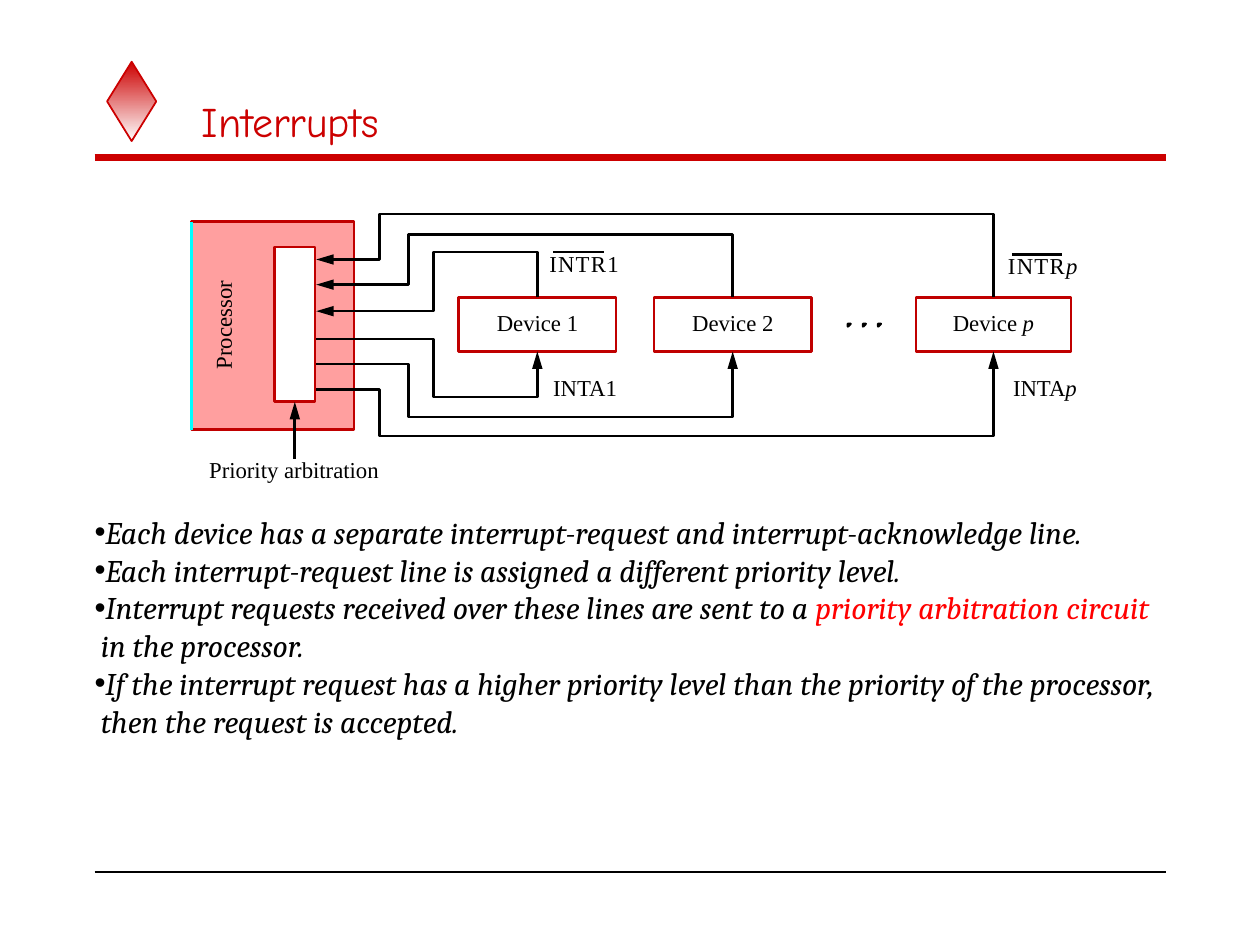
from lxml import etree
from pptx import Presentation
from pptx.dml.color import RGBColor
from pptx.enum.shapes import MSO_CONNECTOR, MSO_SHAPE
from pptx.enum.text import MSO_ANCHOR, MSO_AUTO_SIZE, PP_ALIGN
from pptx.oxml.ns import qn
from pptx.util import Inches, Pt

STRAIGHT = MSO_CONNECTOR.STRAIGHT
RECTANGLE, DIAMOND = MSO_SHAPE.RECTANGLE, MSO_SHAPE.DIAMOND
MIDDLE, TOP = MSO_ANCHOR.MIDDLE, MSO_ANCHOR.TOP
LEFT, CENTER = PP_ALIGN.LEFT, PP_ALIGN.CENTER
NO_AUTOFIT = MSO_AUTO_SIZE.NONE

BLACK = RGBColor(0x00, 0x00, 0x00)
WHITE = RGBColor(0xFF, 0xFF, 0xFF)
RED = RGBColor(0xCC, 0x00, 0x00)
DARK_RED = RGBColor(0xC0, 0x00, 0x00)
BRIGHT_RED = RGBColor(0xFF, 0x00, 0x00)
PINK = RGBColor(0xFF, 0x9F, 0x9F)
CYAN = RGBColor(0x00, 0xFF, 0xFF)

# Device name, suffix, left, width, then its request and acknowledge wiring:
# bus x, processor y, outermost y
DEVICES = [
    ("1", 3.64, 1.25, 3.44, (2.47, 2.00), (2.69, 3.15)),
    ("2", 5.19, 1.25, 3.24, (2.26, 1.86), (2.89, 3.31)),
    ("p", 7.27, 1.23, 3.01, (2.06, 1.70), (3.09, 3.46)),
]
DEVICE_TOP, DEVICE_HEIGHT = 2.36, 0.43
ARBITER_RIGHT = 2.51

# Each line: its runs with colours, and whether it starts a bullet
POINTS = [
    ([("Each device has a separate interrupt-request and "
       "interrupt-acknowledge line.", BLACK)], True),
    ([("Each interrupt-request line is assigned a different priority level.",
       BLACK)], True),
    ([("Interrupt requests received over these lines are sent to a ", BLACK),
      ("priority arbitration circuit", BRIGHT_RED)], True),
    ([("in the processor.", BLACK)], False),
    ([("If the interrupt request has a higher priority level than the "
       "priority of the processor,", BLACK)], True),
    ([("then the request is accepted.", BLACK)], False),
]


class Diagram:
    label_font, label_size = "Times New Roman", 13
    title_font, body_font = "Comic Neue", "Cambria"
    line_width = 1.5

    def __init__(self, slide):
        self.slide = slide
        self.shapes = slide.shapes

    def style_run(self, run, font, size, color, italic=False):
        run.font.name, run.font.size = font, Pt(size)
        run.font.color.rgb, run.font.italic = color, italic

    def write_label(self, paragraph, parts, spacing=0):
        """Fill a paragraph with parts; the variable p is set in italics."""
        for part in parts:
            run = paragraph.add_run()
            run.text = part
            self.style_run(run, self.label_font, self.label_size, BLACK, part == "p")
            if spacing:
                run.font._element.set("spc", str(spacing))

    def place(self, holder, left, top, width, height, anchor):
        holder.left, holder.top = Inches(left), Inches(top)
        holder.width, holder.height = Inches(width), Inches(height)
        frame = holder.text_frame
        frame.word_wrap, frame.auto_size = True, NO_AUTOFIT
        frame.vertical_anchor = anchor
        return frame

    def title(self, text):
        frame = self.place(self.shapes.title, 0.5, 0.33, 9.08, 1.25, MIDDLE)
        frame.margin_left = Inches(1.1)
        frame.text = text
        frame.paragraphs[0].alignment = LEFT
        self.style_run(frame.paragraphs[0].runs[0], self.title_font, 24, RED)

    def body(self, points):
        frame = self.place(self.slide.placeholders[1], 0.65, 4.02, 9.1, 1.92, TOP)
        for index, (parts, bulleted) in enumerate(points):
            paragraph = frame.add_paragraph() if index else frame.paragraphs[0]
            paragraph.space_before = paragraph.space_after = Pt(0)
            for text, color in parts:
                run = paragraph.add_run()
                run.text = text
                self.style_run(run, self.body_font, 18, color, True)
            properties = paragraph._p.get_or_add_pPr()
            properties.set("marL", "0" if bulleted else str(Inches(0.05)))
            properties.set("indent", "0")
            if bulleted:
                etree.SubElement(properties, qn("a:buChar")).set("char", "•")
            else:
                etree.SubElement(properties, qn("a:buNone"))

    def label(self, parts, left, top, width, rotation=0, spacing=0):
        box = self.shapes.add_textbox(Inches(left), Inches(top), Inches(width), Inches(0.22))
        box.rotation = rotation
        frame = box.text_frame
        frame.word_wrap = False
        frame.margin_left = frame.margin_right = frame.margin_top = frame.margin_bottom = 0
        self.write_label(frame.paragraphs[0], parts, spacing)
        return box

    def shape(self, kind, left, top, width, height, color=DARK_RED, fill=None, weight=line_width):
        shape = self.shapes.add_shape(
            kind, Inches(left), Inches(top), Inches(width), Inches(height))
        shape.shadow.inherit = False
        shape.line.color.rgb, shape.line.width = color, Pt(weight)
        if fill is None:
            shape.fill.background()
        else:
            shape.fill.solid()
            shape.fill.fore_color.rgb = fill
        return shape

    def device(self, name, left, width):
        box = self.shape(RECTANGLE, left, DEVICE_TOP, width, DEVICE_HEIGHT)
        frame = box.text_frame
        frame.margin_top, frame.margin_bottom = 0, Inches(0.03)
        frame.vertical_anchor = MIDDLE
        frame.paragraphs[0].alignment = CENTER
        self.write_label(frame.paragraphs[0], ["Device ", name])

    def arrowhead(self, line):
        tail = etree.SubElement(line.line._get_or_add_ln(), qn("a:tailEnd"))
        for key, value in (("type", "triangle"), ("w", "med"), ("len", "lg")):
            tail.set(key, value)

    def line(self, start, end, color=BLACK, weight=line_width):
        line = self.shapes.add_connector(STRAIGHT, *map(Inches, start + end))
        line.line.color.rgb, line.line.width = color, Pt(weight)
        etree.SubElement(line._element.spPr, qn("a:effectLst"))
        return line

    def route(self, points, arrow=True):
        corners = [(Inches(x), Inches(y)) for x, y in points]
        builder = self.shapes.build_freeform(*corners[0])
        builder.add_line_segments(corners[1:], close=not arrow)
        route = builder.convert_to_shape()
        route.shadow.inherit = False
        route.fill.background()
        route.line.color.rgb, route.line.width = BLACK, Pt(self.line_width)
        if arrow:
            self.arrowhead(route)


def main():
    presentation = Presentation()
    presentation.slide_width, presentation.slide_height = Inches(10), Inches(7.5)
    diagram = Diagram(presentation.slides.add_slide(presentation.slide_layouts[1]))

    # Slide frame: diamond and rules
    ornament = diagram.shape(DIAMOND, 0.85, 0.49, 0.39, 0.63, RED, weight=1)
    ornament.fill.gradient()
    ornament.fill.gradient_angle = 270
    for stop, color, position in zip(ornament.fill.gradient_stops, (RED, WHITE), (0, 1)):
        stop.color.rgb, stop.position = color, position
    diagram.line((0.75, 1.25), (9.25, 1.25), RED, 4)
    diagram.line((0.75, 6.92), (9.25, 6.92), weight=1)

    diagram.title("Interrupts")
    diagram.body(POINTS)

    # Processor with its priority arbitration circuit
    diagram.shape(RECTANGLE, 1.52, 1.76, 1.29, 1.65, fill=PINK)
    diagram.line((1.52, 3.41), (1.52, 1.76), CYAN)
    diagram.label(["Processor"], 1.42, 2.47, 0.7, rotation=270)
    arbiter = diagram.shape(RECTANGLE, 2.18, 1.96, 0.32, 1.23, fill=WHITE)
    diagram.label(["Priority arbitration"], 1.66, 3.62, 1.35)
    pointer = diagram.line((2.34, 3.64), (2.34, 3.19))
    pointer.end_connect(arbiter, 2)
    diagram.arrowhead(pointer)

    # Devices with their request and acknowledge lines
    for name, left, width, bus, (request, top), (acknowledge, bottom) in DEVICES:
        center = left + width / 2
        diagram.device(name, left, width)
        diagram.route([(center, DEVICE_TOP), (center, top), (bus, top),
                       (bus, request), (ARBITER_RIGHT, request)])
        diagram.route([(ARBITER_RIGHT, acknowledge), (bus, acknowledge), (bus, bottom),
                       (center, bottom), (center, DEVICE_TOP + DEVICE_HEIGHT)])

    # Signal names; the requests are active low
    for name, left, top, acknowledge_left in (("1", 4.36, 1.98, 4.39), ("p", 8, 2, 8.04)):
        diagram.label(["INTR", name], left, top, 0.56, spacing=75)
        diagram.line((left + 0.03, top + 0.02), (left + 0.43, top + 0.02))
        diagram.label(["INTA", name], acknowledge_left, 2.97, 0.52)

    # Ellipsis between the devices
    for index in range(3):
        x = 6.73 + 0.12 * index
        diagram.route([(x, 2.57), (x, 2.59), (x + 0.02, 2.57)], arrow=False)

    presentation.save("out.pptx")


if __name__ == "__main__":
    main()
